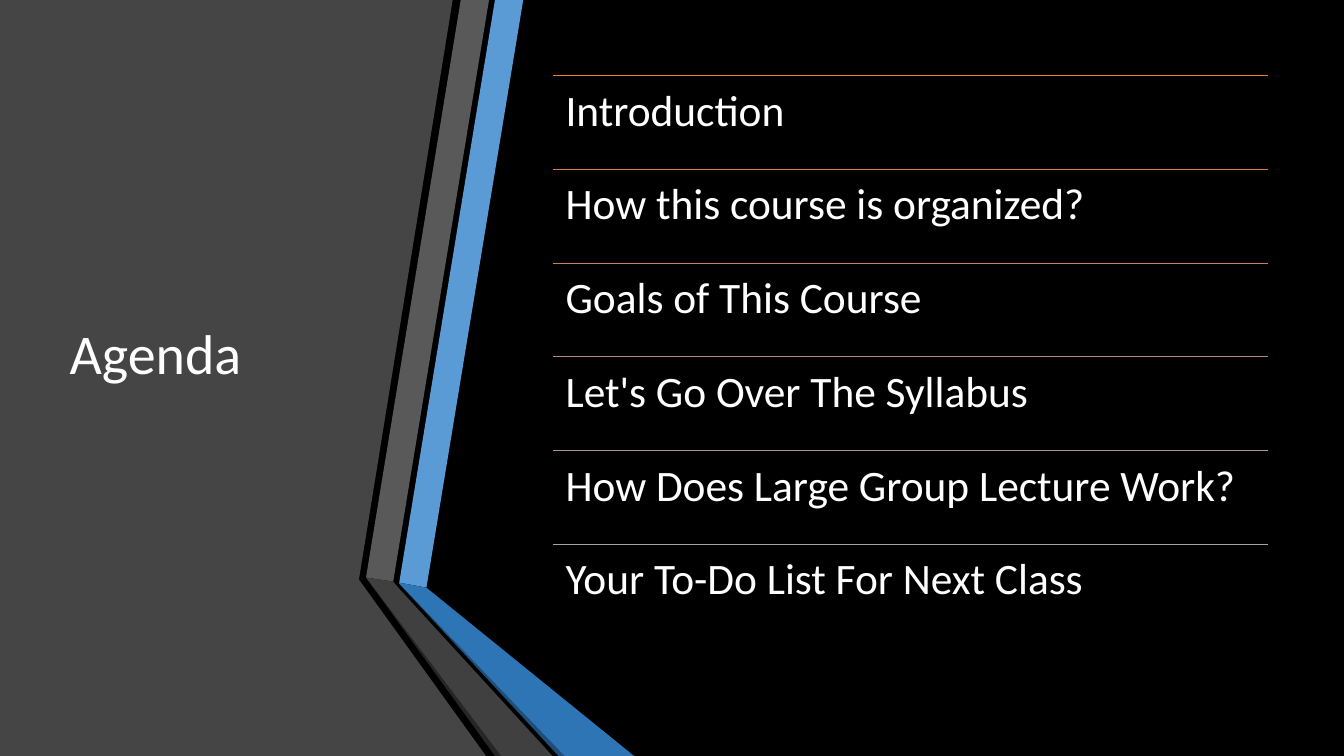
"""Build the course agenda slide with its folded ribbon panel."""
from dataclasses import dataclass

from lxml.etree import SubElement
from pptx import Presentation
from pptx.dml.color import RGBColor
from pptx.enum.shapes import MSO_CONNECTOR
from pptx.enum.text import MSO_ANCHOR, PP_ALIGN
from pptx.oxml.ns import qn
from pptx.slide import Slide
from pptx.text.text import TextFrame
from pptx.util import Inches, Pt

FONT = "Calibri"
WHITE = "FFFFFF"
ROW_LEFT, ROW_TOP = 5.48, 0.75
ROW_WIDTH, ROW_HEIGHT = 7.1, 0.93


@dataclass(frozen=True)
class Panel:
    color: str
    points: tuple[tuple[float, float], ...]


@dataclass(frozen=True)
class AgendaItem:
    text: str
    rule_color: str


PANELS = (
    Panel("454545", ((0, 0), (4.49, 0), (3.56, 5.75), (4.82, 7.5), (0, 7.5))),
    Panel("5B9BD5", ((3.96, 5.78), (4.23, 5.83), (5.19, 0), (4.91, 0))),
    Panel("595959", ((4.85, 0), (4.57, 0), (3.63, 5.73), (3.9, 5.77))),
    Panel("262626", ((3.63, 5.73), (4.91, 7.5), (4.97, 7.5))),
    Panel("1F4E79", ((3.96, 5.79), (5.54, 7.5), (5.6, 7.5))),
    Panel("2E75B6", ((3.96, 5.79), (5.6, 7.5), (6.29, 7.5), (4.23, 5.83), (3.96, 5.78))),
    Panel("404040", ((5.48, 7.5), (3.95, 5.83), (3.9, 5.77), (3.63, 5.73), (4.97, 7.5))),
)

AGENDA = (
    AgendaItem("Introduction", "ED7D31"),
    AgendaItem("How this course is organized?", "DC7A4B"),
    AgendaItem("Goals of This Course", "CC7D64"),
    AgendaItem("Let's Go Over The Syllabus", "BD867B"),
    AgendaItem("How Does Large Group Lecture Work?", "B09391"),
    AgendaItem("Your To-Do List For Next Class", "A5A5A5"),
)


def rgb(value: str) -> RGBColor:
    return RGBColor.from_string(value)


def write(frame: TextFrame, text: str, size: float) -> None:
    frame.word_wrap = True
    para = frame.paragraphs[0]
    para.alignment = PP_ALIGN.LEFT
    para.line_spacing = 0.9
    span = para.add_run()
    span.text = text
    span.font.name = FONT
    span.font.size = Pt(size)
    span.font.color.rgb = rgb(WHITE)


def draw_panel(page: Slide, panel: Panel) -> None:
    corners = [(Inches(x), Inches(y)) for x, y in panel.points]
    builder = page.shapes.build_freeform(*corners[0])
    builder.add_line_segments(corners[1:], close=True)
    shape = builder.convert_to_shape()
    shape.shadow.inherit = False
    shape.fill.solid()
    shape.fill.fore_color.rgb = rgb(panel.color)
    shape.line.fill.background()


def draw_title(page: Slide, text: str) -> None:
    title = page.shapes.title
    title.left, title.top = Inches(0.59), Inches(0.75)
    title.width, title.height = Inches(3.04), Inches(5.58)
    title.text_frame.vertical_anchor = MSO_ANCHOR.MIDDLE
    write(title.text_frame, text, 40)


def draw_item(page: Slide, item: AgendaItem, top: float) -> None:
    left, width = Inches(ROW_LEFT), Inches(ROW_WIDTH)
    rule = page.shapes.add_connector(
        MSO_CONNECTOR.STRAIGHT, left, Inches(top), left + width, Inches(top)
    )
    rule.line.color.rgb = rgb(item.rule_color)
    rule.line.width = Pt(0.5)
    SubElement(rule._element.spPr, qn("a:effectLst"))

    box = page.shapes.add_textbox(left, Inches(top), width, Inches(ROW_HEIGHT))
    frame = box.text_frame
    frame.margin_left = frame.margin_right = Inches(0.13)
    frame.margin_top = frame.margin_bottom = Inches(0.13)
    write(frame, item.text, 31)


def main() -> None:
    deck = Presentation()
    deck.slide_width, deck.slide_height = Inches(13.33), Inches(7.5)
    page = deck.slides.add_slide(deck.slide_layouts[5])
    page.background.fill.solid()
    page.background.fill.fore_color.rgb = rgb("000000")

    for panel in PANELS:
        draw_panel(page, panel)
    draw_title(page, "Agenda")
    page.shapes._spTree.append(page.shapes.title._element)
    for row, item in enumerate(AGENDA):
        draw_item(page, item, ROW_TOP + row * ROW_HEIGHT)

    deck.save("out.pptx")


if __name__ == "__main__":
    main()
